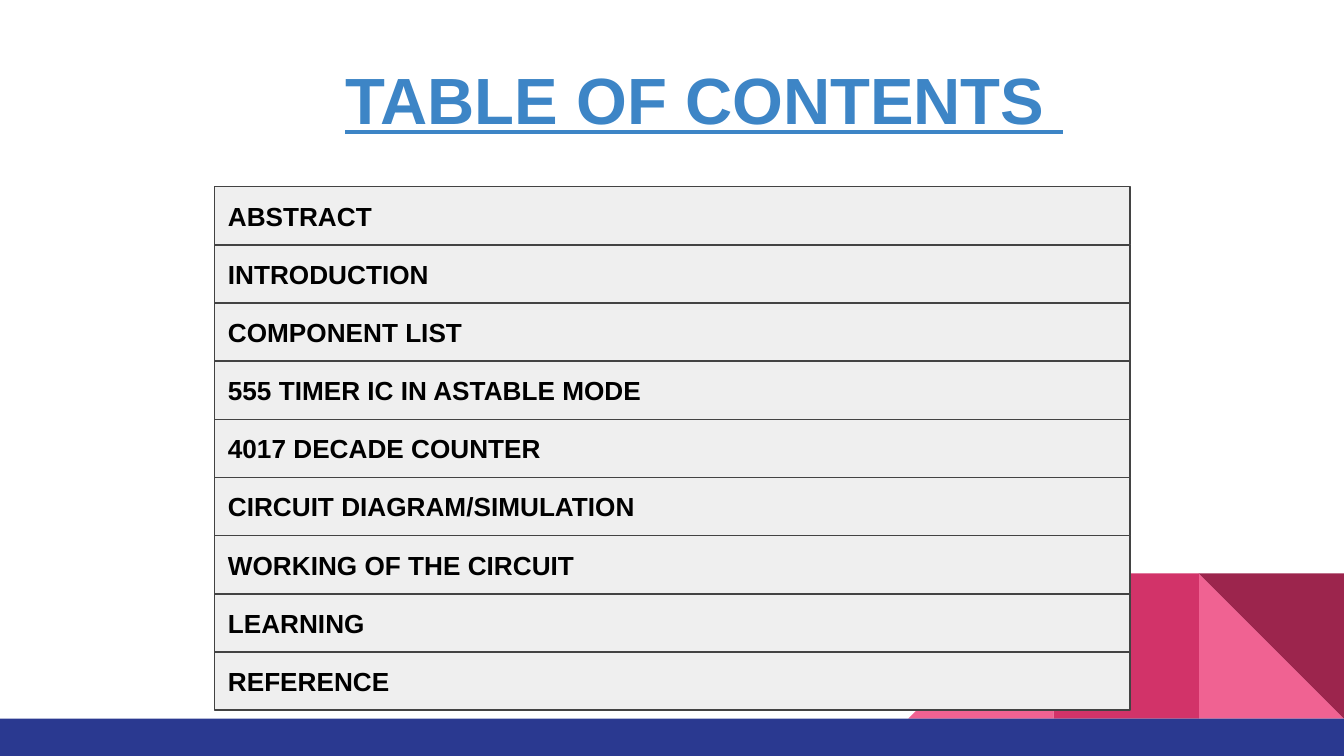
from pptx import Presentation
from pptx.dml.color import RGBColor
from pptx.enum.shapes import MSO_SHAPE
from pptx.enum.text import MSO_ANCHOR, PP_ALIGN
from pptx.oxml.ns import qn
from pptx.util import Pt

RECTANGLE = MSO_SHAPE.RECTANGLE
TRIANGLE = MSO_SHAPE.RIGHT_TRIANGLE
MIDDLE, TOP = MSO_ANCHOR.MIDDLE, MSO_ANCHOR.TOP
LEFT = PP_ALIGN.LEFT

BLACK = RGBColor(0x00, 0x00, 0x00)
TITLE_BLUE = RGBColor(0x3D, 0x85, 0xC6)
BAND_BLUE = RGBColor(0x2A, 0x39, 0x90)
PINK = RGBColor(0xF0, 0x62, 0x92)
ROSE = RGBColor(0xD2, 0x33, 0x69)
WINE = RGBColor(0x9C, 0x25, 0x4D)
ROW_GREY = RGBColor(0xEF, 0xEF, 0xEF)
BORDER_GREY = RGBColor(0x43, 0x43, 0x43)

PAGE_WIDTH, PAGE_HEIGHT = 720, 405
BAND_HEIGHT = 20
TILE = 77.8
INSET = 7.2
ROW_LEFT, ROW_TOP, ROW_WIDTH, ROW_HEIGHT = 115, 100, 490.3, 31.16

TOPICS = [
    "ABSTRACT",
    "INTRODUCTION",
    "COMPONENT LIST",
    "555 TIMER IC IN ASTABLE MODE",
    "4017 DECADE COUNTER",
    "CIRCUIT DIAGRAM/SIMULATION",
    "WORKING OF THE CIRCUIT",
    "LEARNING",
    "REFERENCE",
]


def add_block(page, kind, left, top, width, height, fill, border=None):
    block = page.shapes.add_shape(kind, Pt(left), Pt(top), Pt(width), Pt(height))
    block.shadow.inherit = False
    block.fill.solid()
    block.fill.fore_color.rgb = fill
    if border is None:
        block.line.fill.background()
    else:
        block.line.color.rgb = border
        block.line.width = Pt(0.75)
    return block


def write_text(box, text, size, color, anchor, left=INSET, top=INSET, underline=None):
    frame = box.text_frame
    frame.word_wrap = True
    frame.vertical_anchor = anchor
    frame.margin_left, frame.margin_top = Pt(left), Pt(top)
    frame.margin_right = frame.margin_bottom = Pt(INSET)
    para = frame.paragraphs[0]
    para.alignment = LEFT
    span = para.add_run()
    span.text = text
    span.font.name = "Arial"
    span.font.size = Pt(size)
    span.font.bold = True
    span.font.underline = underline
    span.font.color.rgb = color


def add_corner_tiles(page):
    top = PAGE_HEIGHT - BAND_HEIGHT - TILE
    columns = [PAGE_WIDTH - TILE * count for count in (3, 2, 1)]
    add_block(page, TRIANGLE, columns[2], top, TILE, TILE, PINK)
    mirrored = add_block(page, TRIANGLE, columns[0], top, TILE, TILE, PINK)
    mirrored.element.spPr.find(qn("a:xfrm")).set("flipH", "1")
    add_block(page, RECTANGLE, columns[1], top, TILE, TILE, ROSE)
    turned = add_block(page, TRIANGLE, columns[2], top, TILE, TILE, WINE)
    turned.rotation = 180


def add_title(page):
    box = page.shapes.add_textbox(Pt(24.5), Pt(20.9), Pt(681.8), Pt(354.2))
    # The trailing space carries the underline past the last word
    write_text(box, "TABLE OF CONTENTS ", 35, TITLE_BLUE, TOP,
               left=160.5, top=11, underline=True)


def add_topic_rows(page):
    for index, topic in enumerate(TOPICS):
        row = add_block(page, RECTANGLE, ROW_LEFT, ROW_TOP + index * ROW_HEIGHT,
                        ROW_WIDTH, ROW_HEIGHT, ROW_GREY, BORDER_GREY)
        write_text(row, topic, 14, BLACK, MIDDLE)


def main():
    deck = Presentation()
    deck.slide_width, deck.slide_height = Pt(PAGE_WIDTH), Pt(PAGE_HEIGHT)
    page = deck.slides.add_slide(deck.slide_layouts[6])

    # Corner decoration and bottom band
    add_corner_tiles(page)
    add_block(page, RECTANGLE, 0, PAGE_HEIGHT - BAND_HEIGHT,
              PAGE_WIDTH, BAND_HEIGHT, BAND_BLUE)

    # Title and list of topics
    add_title(page)
    add_topic_rows(page)

    deck.save("out.pptx")


if __name__ == "__main__":
    main()
